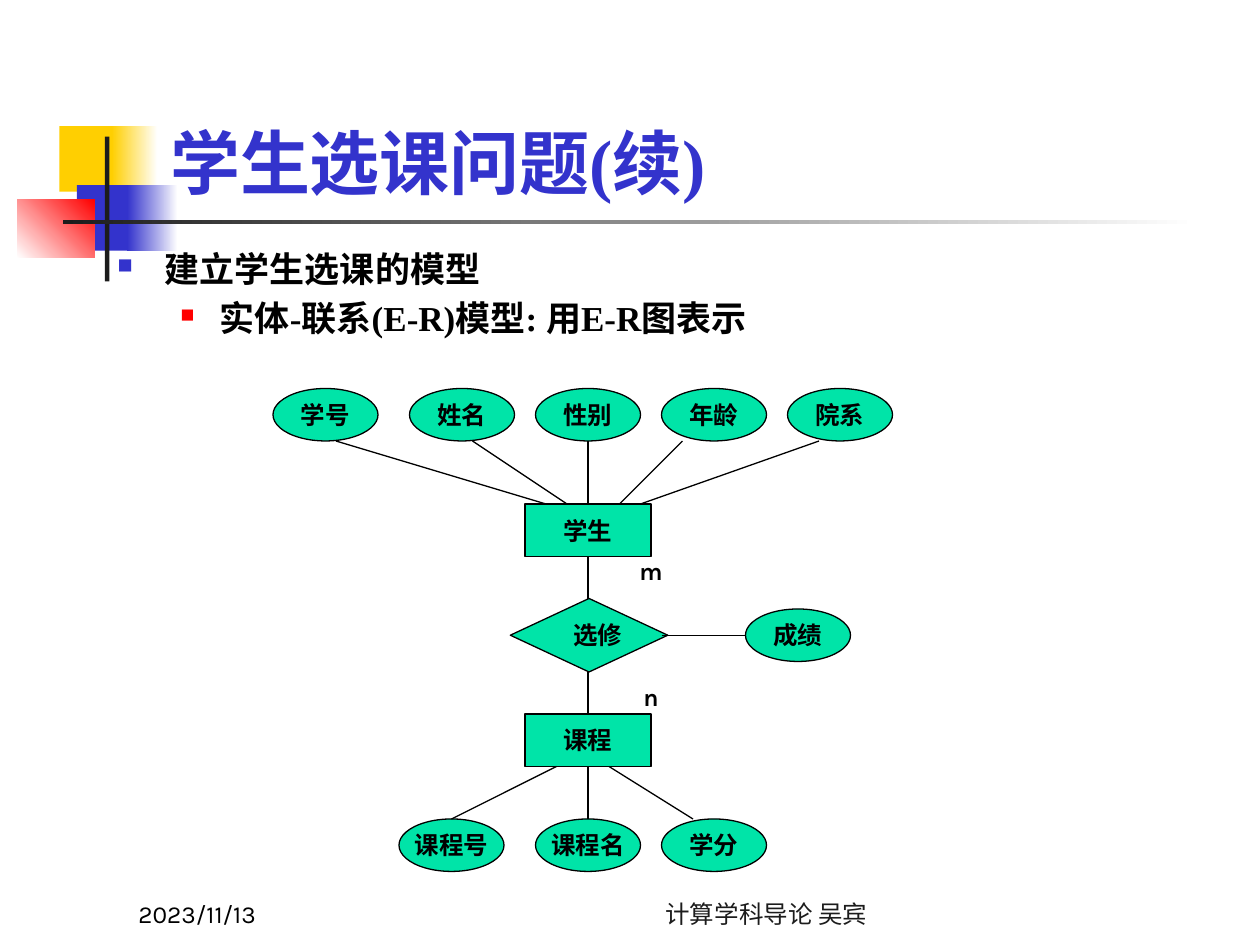
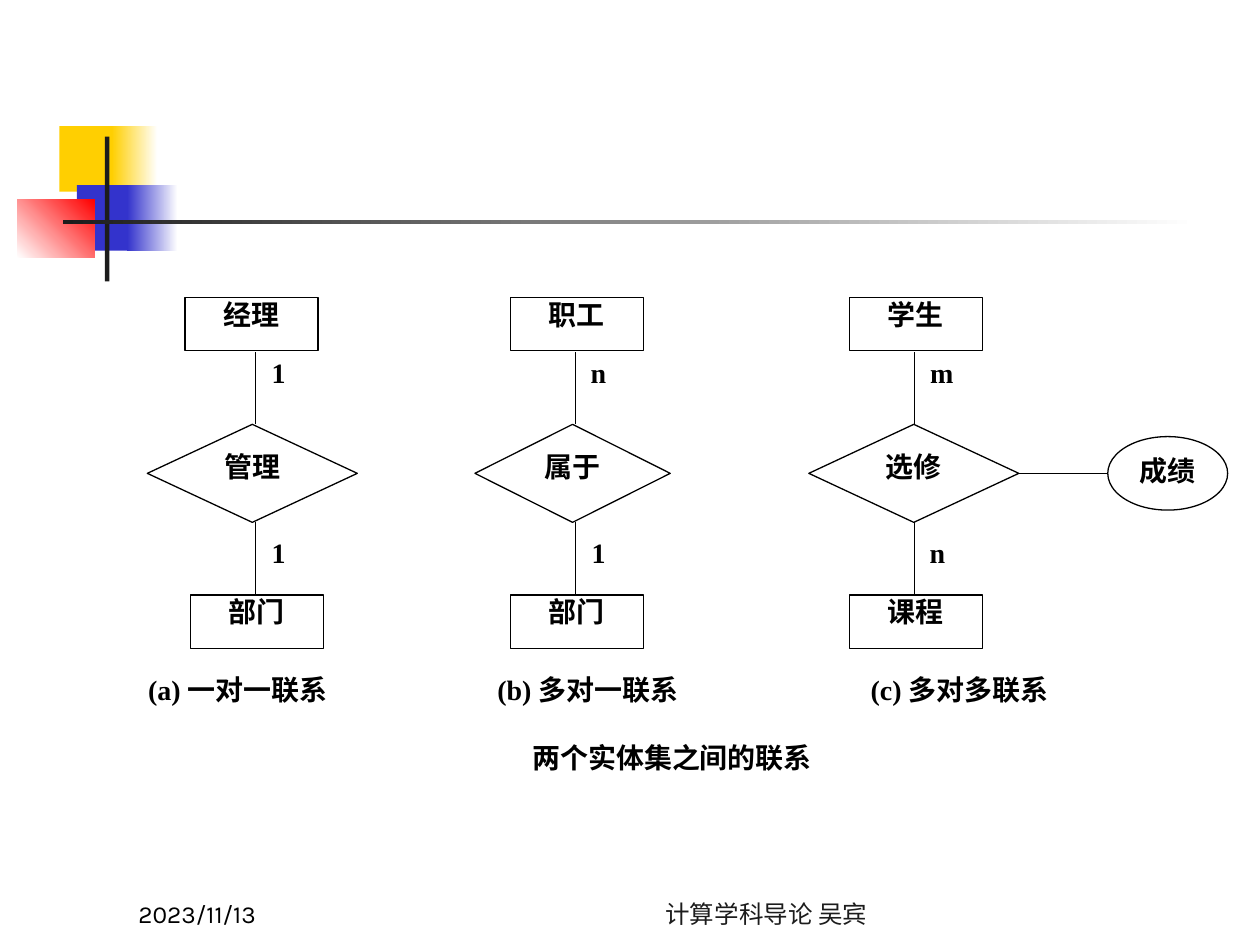
from dataclasses import dataclass

from lxml import etree
from pptx import Presentation
from pptx.dml.color import RGBColor
from pptx.enum.shapes import MSO_CONNECTOR, MSO_SHAPE
from pptx.enum.text import MSO_ANCHOR, MSO_AUTO_SIZE, PP_ALIGN
from pptx.oxml.ns import qn
from pptx.util import Pt

BLACK = RGBColor(0x00, 0x00, 0x00)
WHITE = RGBColor(0xFF, 0xFF, 0xFF)
INK = RGBColor(0x1C, 0x1C, 0x1C)
BLUE = RGBColor(0x33, 0x33, 0xCC)
RED = RGBColor(0xFF, 0x00, 0x00)
YELLOW = RGBColor(0xFF, 0xCF, 0x01)
GREEN = RGBColor(0x00, 0xE4, 0xA8)

SERIF = "Times New Roman"
SANS = "Karla"
TITLE_ONLY, BLANK = 5, 6


@dataclass
class Relation:
    """One relationship between two entity sets, with the left edges of its parts."""
    axis: float
    top_left: float
    bottom_left: float
    diamond_left: float
    diamond_width: float
    caption_left: float
    top: str
    verb: str
    bottom: str
    top_count: str
    bottom_count: str
    caption: str


RELATIONS = [
    Relation(146.2, 105.8, 108.7, 84.2, 120, 67,
             "经理", "管理", "部门", "1", "1", "(a) 一对一联系"),
    Relation(329, 291.6, 291.6, 271.4, 111.6, 267.1,
             "职工", "属于", "部门", "n", "1", "(b) 多对一联系"),
    Relation(522.7, 485.3, 485.3, 462.2, 120, 479.5,
             "学生", "选修", "课程", "m", "n", "(c) 多对多联系"),
]

# label, left of the ellipse, line x at the ellipse, line x at the entity
STUDENT_ATTRIBUTES = [
    ("学号", 0, 36, 156),
    ("姓名", 78, 114, 168),
    ("性别", 150, 180, 180),
    ("年龄", 222, 234, 198),
    ("院系", 294, 312, 210),
]
COURSE_ATTRIBUTES = [
    ("课程号", 72, 102, 162),
    ("课程名", 150, 180, 180),
    ("学分", 222, 240, 192),
]


def write(sp, text, size=14, font=SANS, color=BLACK, bold=True,
          align=PP_ALIGN.CENTER, anchor=MSO_ANCHOR.MIDDLE,
          insets=(0, 0, 0, 0), wrap=False):
    """Fill a shape with text, one paragraph a line; insets run left, top, right, bottom."""
    tf = sp.text_frame
    tf.auto_size = MSO_AUTO_SIZE.NONE
    tf.word_wrap = wrap
    tf.vertical_anchor = anchor
    tf.margin_left, tf.margin_top, tf.margin_right, tf.margin_bottom = map(Pt, insets)
    tf.text = text
    for p in tf.paragraphs:
        p.alignment = align
        for r in p.runs:
            r.font.size, r.font.name, r.font.bold = Pt(size), font, bold
            r.font.color.rgb = color
    return tf


def add_box(slide, kind, left, top, width, height, fill=None, line=None):
    sp = slide.shapes.add_shape(kind, Pt(left), Pt(top), Pt(width), Pt(height))
    sp.shadow.inherit = False
    if fill is None:
        sp.fill.background()
    else:
        sp.fill.solid()
        sp.fill.fore_color.rgb = fill
    if line is None:
        sp.line.fill.background()
    else:
        sp.line.color.rgb = line
        sp.line.width = Pt(0.75)
    return sp


def add_text(slide, left, top, width, height, text, **fmt):
    sp = slide.shapes.add_textbox(Pt(left), Pt(top), Pt(width), Pt(height))
    return write(sp, text, **fmt)


def add_line(slide, x1, y1, x2, y2):
    ln = slide.shapes.add_connector(
        MSO_CONNECTOR.STRAIGHT, Pt(x1), Pt(y1), Pt(x2), Pt(y2))
    ln.line.color.rgb = BLACK
    ln.line.width = Pt(0.75)
    etree.SubElement(ln._element.spPr, qn("a:effectLst"))


def add_fade(slide, box, start, end, angle=0):
    """Add a borderless rectangle whose colour runs from start to end."""
    sp = add_box(slide, MSO_SHAPE.RECTANGLE, *box)
    sp.fill.gradient()
    sp.fill.gradient_angle = angle
    for stop, color in zip(sp.fill.gradient_stops, (start, end)):
        stop.color.rgb = color


def add_bullet(p, color, percent, left, hanging):
    pPr = p._p.get_or_add_pPr()
    pPr.set("marL", str(Pt(left)))
    pPr.set("indent", str(-Pt(hanging)))
    clr = etree.SubElement(pPr, qn("a:buClr"))
    etree.SubElement(clr, qn("a:srgbClr"), val=str(color))
    etree.SubElement(pPr, qn("a:buSzPct"), val=str(percent * 1000))
    etree.SubElement(pPr, qn("a:buChar"), char="■")


def add_frame(slide):
    """Draw the colour blocks, rules and footers that every slide carries."""
    rect = MSO_SHAPE.RECTANGLE
    add_box(slide, rect, 34, 72, 34.5, 37.5, YELLOW)
    add_fade(slide, (64, 72, 26, 37.5), YELLOW, WHITE)
    add_box(slide, rect, 44, 105.8, 33, 37.5, BLUE)
    add_fade(slide, (72.7, 105.8, 29, 37.5), BLUE, WHITE)
    add_fade(slide, (10, 113.8, 44, 33.5), WHITE, RED, 45)
    add_box(slide, rect, 60, 78, 2.5, 82.8, INK)
    add_fade(slide, (36, 125.8, 648, 2.5), INK, WHITE)

    footer = dict(bold=False, anchor=MSO_ANCHOR.BOTTOM,
                  insets=(7.2, 3.6, 7.2, 3.6), wrap=True)
    add_text(slide, 72, 498, 204, 36, "2023/11/13", align=PP_ALIGN.LEFT, **footer)
    add_text(slide, 312, 498, 252, 36, "计算学科导论 吴宾", color=INK, **footer)


def add_heading(slide, title, points):
    block = dict(font=SERIF, align=PP_ALIGN.LEFT,
                 insets=(7.2, 3.6, 7.2, 3.6), wrap=True)
    sp = slide.shapes.title
    sp.left, sp.top, sp.width, sp.height = Pt(90), Pt(30), Pt(599), Pt(90)
    write(sp, title, size=40, color=BLUE, anchor=MSO_ANCHOR.BOTTOM, **block)

    tf = add_text(slide, 60, 138, 630, 345, "\n".join(points), size=20,
                  anchor=MSO_ANCHOR.TOP, **block)
    bullets = [(BLUE, 60, 27, 27), (RED, 55, 58.5, 22.5)]
    for level, (p, bullet) in enumerate(zip(tf.paragraphs, bullets)):
        p.level = level
        p.space_before = Pt(4)
        add_bullet(p, *bullet)


def add_er_model(slide, left, top):
    """Draw the course selection model with its upper left corner at left, top."""
    def node(kind, label, x, y, width, height=30, shift=0):
        sp = add_box(slide, kind, left + x, top + y, width, height, GREEN, BLACK)
        write(sp, label, insets=(shift, 0, 0, 0))

    def link(x1, y1, x2, y2):
        add_line(slide, left + x1, top + y1, left + x2, top + y2)

    node(MSO_SHAPE.RECTANGLE, "学生", 144, 66, 72)
    node(MSO_SHAPE.FLOWCHART_DECISION, "选修", 135.6, 120, 90, 42, shift=10)
    node(MSO_SHAPE.RECTANGLE, "课程", 144, 186, 72)
    node(MSO_SHAPE.OVAL, "成绩", 270, 126, 60)

    rows = [(STUDENT_ATTRIBUTES, 0, 30, 66), (COURSE_ATTRIBUTES, 246, 246, 216)]
    for attributes, y, ellipse_y, entity_y in rows:
        for label, x, ellipse_x, entity_x in attributes:
            node(MSO_SHAPE.OVAL, label, x, y, 60)
            link(ellipse_x, ellipse_y, entity_x, entity_y)

    link(180, 96, 180, 120)
    link(180, 162, 180, 186)
    link(222, 141, 270, 141)
    for count, y in (("m", 96), ("n", 168)):
        add_text(slide, left + 198, top + y, 36, 16.5, count)


def add_relation(slide, top, rel):
    """Draw one column: entity, relationship, entity and caption, from top down."""
    fmt = dict(size=16, font=SERIF)
    for label, left, y in ((rel.top, rel.top_left, 0), (rel.bottom, rel.bottom_left, 170)):
        sp = add_box(slide, MSO_SHAPE.RECTANGLE, left, top + y, 76, 30.5, WHITE, BLACK)
        write(sp, label, anchor=MSO_ANCHOR.TOP, **fmt)

    sp = add_box(slide, MSO_SHAPE.DIAMOND, rel.diamond_left, top + 72.5,
                 rel.diamond_width, 56, line=BLACK)
    write(sp, rel.verb, insets=(0, 0, 0, 8), **fmt)
    for start, end in ((72.5, 31), (128.5, 170)):
        add_line(slide, rel.axis, top + start, rel.axis, top + end)

    for count, y in ((rel.top_count, 33), (rel.bottom_count, 136)):
        width = 17 if count == "m" else 12
        add_label(slide, rel.axis + 7, top + y, width, 23, count)
    add_label(slide, rel.caption_left, top + 214.5, 137.5, 28, rel.caption)


def add_label(slide, left, top, width, height, text):
    sp = add_box(slide, MSO_SHAPE.RECTANGLE, left, top, width, height, WHITE)
    write(sp, text, size=16, font=SERIF, anchor=MSO_ANCHOR.TOP)


def add_grade(slide, left, top):
    """Draw the grade attribute and the line that reaches it from the left."""
    sp = add_box(slide, MSO_SHAPE.OVAL, left, top, 68.5, 42, line=BLACK)
    write(sp, "成绩", size=16, font=SERIF, insets=(0, 0, 0, 4))
    add_line(slide, left - 52, top + 21, left, top + 21)


def model_slide(prs):
    slide = prs.slides.add_slide(prs.slide_layouts[TITLE_ONLY])
    add_frame(slide)
    add_heading(slide, "学生选课问题(续)",
                ["建立学生选课的模型", "实体-联系(E-R)模型: 用E-R图表示"])
    add_er_model(slide, 156, 222)


def relations_slide(prs):
    slide = prs.slides.add_slide(prs.slide_layouts[BLANK])
    add_frame(slide)
    for rel in RELATIONS:
        add_relation(slide, 170, rel)
    add_grade(slide, 633, 249.5)
    add_label(slide, 238.3, 423.4, 291.6, 28, "两个实体集之间的联系")


def main():
    prs = Presentation()
    prs.slide_width, prs.slide_height = Pt(720), Pt(540)
    model_slide(prs)
    relations_slide(prs)
    prs.save("out.pptx")


if __name__ == "__main__":
    main()
